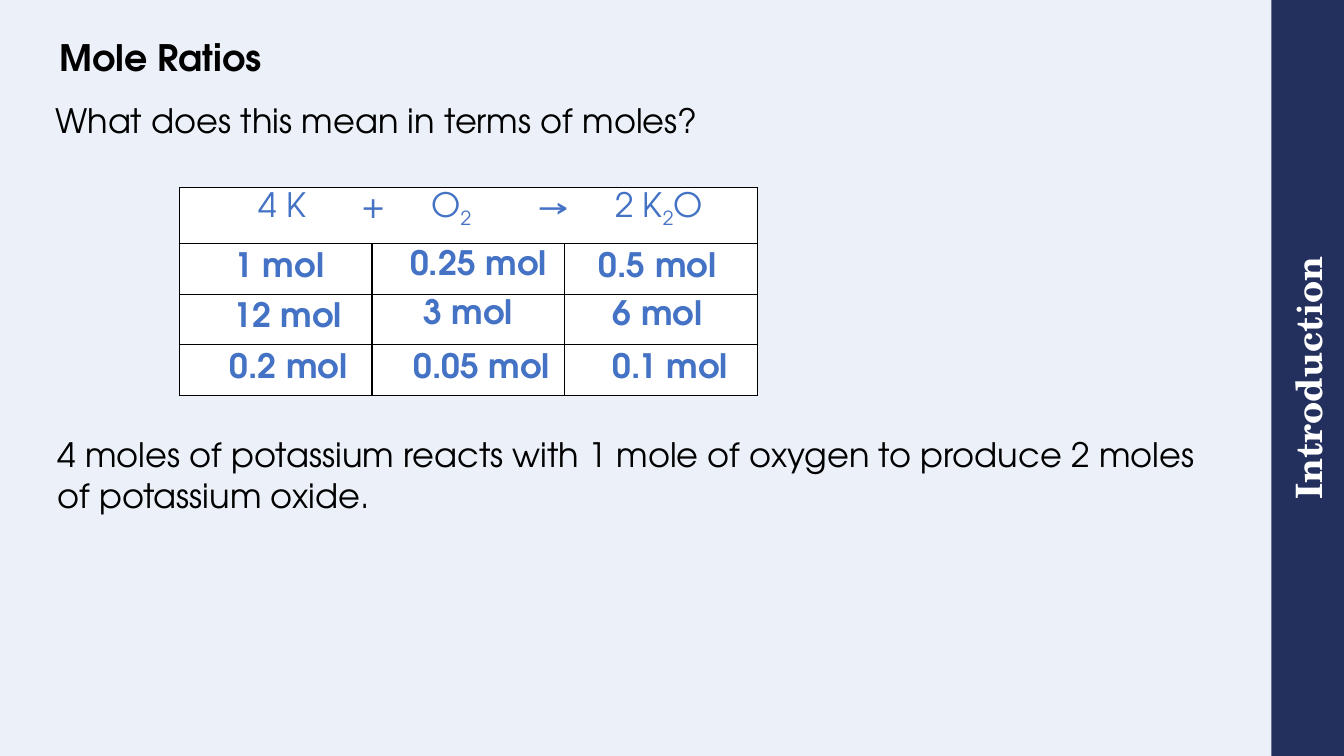
"""Build the Mole Ratios slide with its reaction table."""
from lxml.etree import SubElement
from pptx import Presentation
from pptx.dml.color import RGBColor
from pptx.enum.shapes import MSO_SHAPE
from pptx.enum.text import MSO_ANCHOR, PP_ALIGN
from pptx.oxml.ns import qn
from pptx.util import Inches, Pt

COLORS = {"background": "ECF1F9", "navy": "232F5D", "blue": "4472C4",
          "black": "000000", "white": "FFFFFF"}


def add_text(para, text, size=24, color="black", bold=False,
             font="TeX Gyre Adventor", baseline=0):
    span = para.add_run()
    span.text = text
    span.font.name = font
    span.font.size = Pt(size)
    span.font.bold = bold
    span.font.color.rgb = RGBColor.from_string(COLORS[color])
    if baseline:
        span.font._element.set("baseline", str(baseline * 1000))


def add_box(left, top, width, height, text, wrap=True, **text_format):
    box = page.shapes.add_textbox(Inches(left), Inches(top), Inches(width), Inches(height))
    box.text_frame.word_wrap = wrap
    add_text(box.text_frame.paragraphs[0], text, **text_format)


deck = Presentation()
deck.slide_width = Inches(13.33)
deck.slide_height = Inches(7.5)
page = deck.slides.add_slide(deck.slide_layouts[5])
page.background.fill.solid()
page.background.fill.fore_color.rgb = RGBColor.from_string(COLORS["background"])

sidebar = page.shapes.add_shape(MSO_SHAPE.RECTANGLE, Inches(9.22), Inches(3.39),
                                Inches(7.5), Inches(0.72))
sidebar.rotation = 270
sidebar.shadow.inherit = False
sidebar.fill.solid()
sidebar.fill.fore_color.rgb = RGBColor.from_string(COLORS["navy"])
sidebar.line.fill.background()
sidebar.text_frame.vertical_anchor = MSO_ANCHOR.MIDDLE
sidebar_para = sidebar.text_frame.paragraphs[0]
sidebar_para.alignment = PP_ALIGN.CENTER
add_text(sidebar_para, "Introduction", size=26, color="white", bold=True,
         font="TeX Gyre Schola")

title = page.shapes.title
title.left, title.top = Inches(0.59), Inches(0)
title.width, title.height = Inches(11.61), Inches(0.79)
title.text_frame.vertical_anchor = MSO_ANCHOR.BOTTOM
title_para = title.text_frame.paragraphs[0]
title_para.alignment = PP_ALIGN.LEFT
title_para.line_spacing = 0.9
add_text(title_para, "Mole Ratios", size=26, bold=True)

for frame in (sidebar.text_frame, title.text_frame):
    frame.margin_left = frame.margin_right = 0
    frame.margin_top = frame.margin_bottom = 0

add_box(0.45, 0.94, 6.64, 0.5, "What does this mean in terms of moles?", wrap=False)

table = page.shapes.add_table(4, 3, Inches(1.78), Inches(1.86),
                              Inches(5.74), Inches(2.06)).table
table.first_row = False
table.horz_banding = False
for column in table.columns:
    column.width = Inches(1.91)
for index, row in enumerate(table.rows):
    row.height = Inches(0.5 if index else 0.56)
    for cell in row.cells:
        properties = cell._tc.get_or_add_tcPr()
        for side in ("a:lnL", "a:lnR", "a:lnT", "a:lnB"):
            border = SubElement(properties, qn(side), w=str(Pt(1)))
            border_fill = SubElement(border, qn("a:solidFill"))
            SubElement(border_fill, qn("a:srgbClr"), val=COLORS["black"])
        cell.fill.solid()
        cell.fill.fore_color.rgb = RGBColor.from_string(COLORS["white"])

equation = table.cell(0, 0)
equation.merge(table.cell(0, 2))
equation.margin_left = Inches(0.78)
equation_para = equation.text_frame.paragraphs[0]
tabs = SubElement(equation_para._p.get_or_add_pPr(), qn("a:tabLst"))
for position in (1.03, 1.72, 2.77, 3.54):
    SubElement(tabs, qn("a:tab"), pos=str(Inches(position)), algn="l")
for text, baseline in (("4 K\t+\tO", 0), ("2", -25), ("\t→\t2 K", 0), ("2", -25), ("O", 0)):
    add_text(equation_para, text, color="blue", baseline=baseline)

add_box(0.47, 4.26, 11.79, 0.91, "4 moles of potassium reacts with 1 mole of oxygen "
        "to produce 2 moles of potassium oxide.")

amounts = [
    (2.23, 2.37, "1 mol"), (3.97, 2.35, "0.25 mol"), (5.84, 2.37, "0.5 mol"),
    (2.22, 2.87, "12 mol"), (4.1, 2.84, "3 mol"), (5.98, 2.85, "6 mol"),
    (2.18, 3.37, "0.2 mol"), (4, 3.37, "0.05 mol"), (5.98, 3.37, "0.1 mol"),
]
for left, top, amount in amounts:
    add_box(left, top, 1.64, 0.5, amount, color="blue", bold=True)

deck.save("out.pptx")
